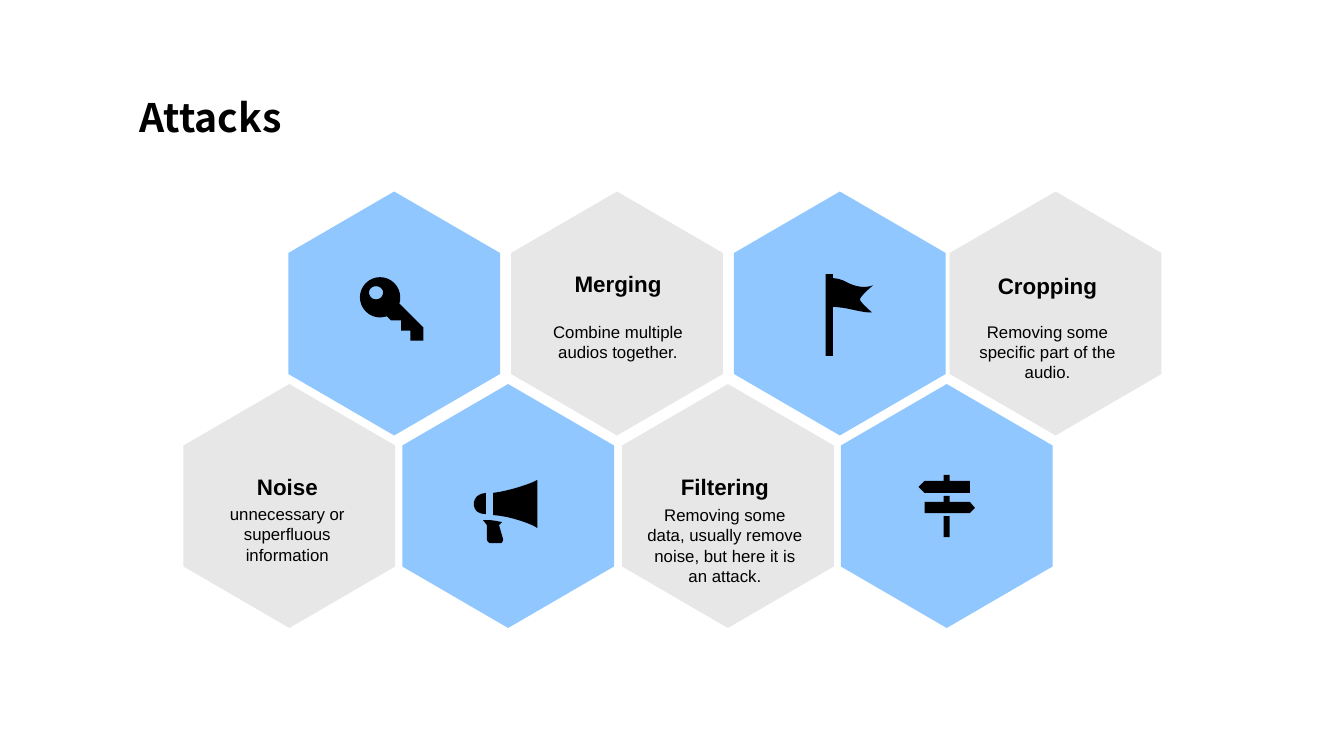
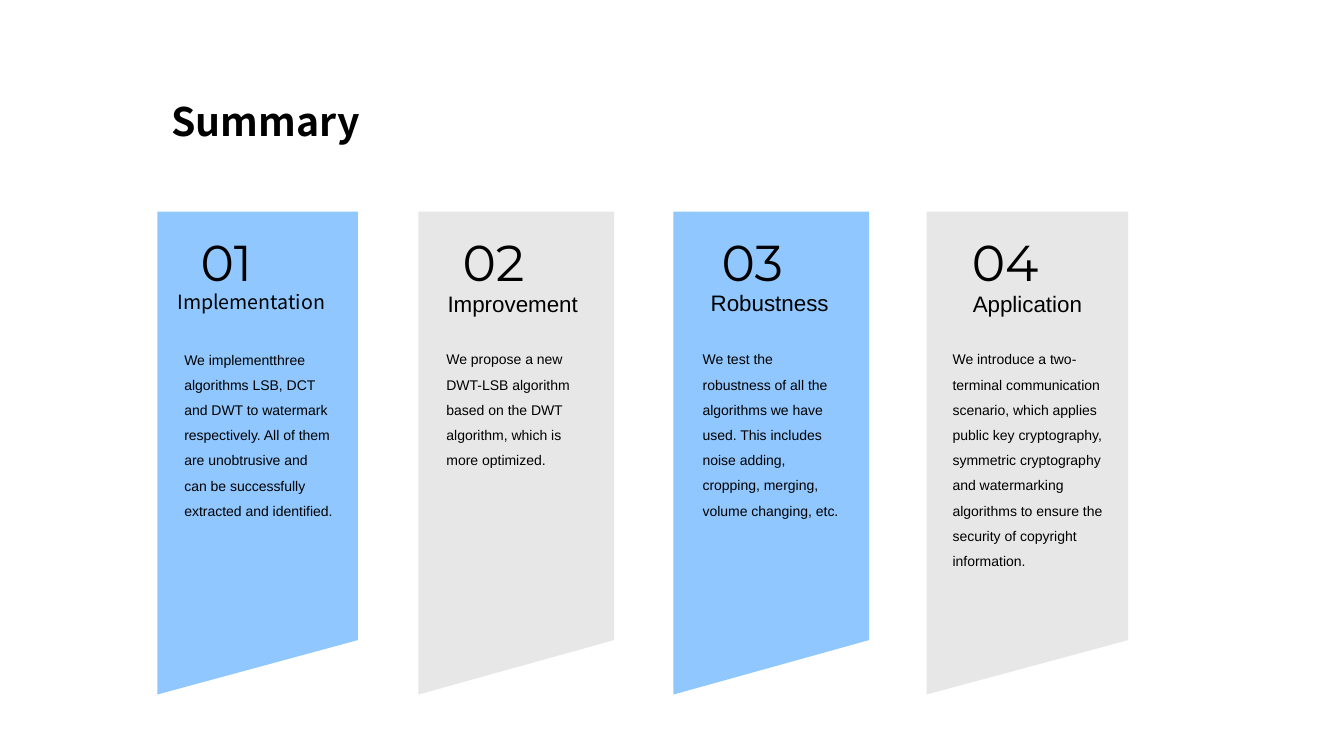
from pptx import Presentation
from pptx.dml.color import RGBColor
from pptx.enum import shapes as s
from pptx.enum import text as t
from pptx.util import Inches, Pt

BLUE, GREY, BLACK = "90C7FF", "E7E7E7", "000000"
TITLE_FONT, BODY_FONT, NUMBER_FONT = "Noto Sans CJK SC", "Arial", "Montserrat"

# Attacks: text centre x, heading top, detail top, heading, detail
ATTACKS = [
    (2.85, 4.69, 5.00, "Noise", "unnecessary or superfluous information"),
    (6.13, 2.68, 3.19, "Merging", "Combine multiple audios together."),
    (7.19, 4.69, 5.01, "Filtering",
     "Removing some data, usually remove noise, but here it is an attack."),
    (10.39, 2.70, 3.19, "Cropping", "Removing some specific part of the audio."),
]
HEX_W, HEX_H, HEX_SHOULDER = 2.1, 2.42, 0.61
HEX_ROWS = [
    (1.9, [2.86, 5.07, 7.28, 9.42]),
    (3.81, [1.82, 3.99, 6.17, 8.34]),
]

# Icons: each shape is a list of contours; pairs are corners, sixes are curves
KEY = [[
    [(3.96, 3.01), (3.97, 2.99, 3.97, 2.97, 3.97, 2.95),
     (3.97, 2.84, 3.88, 2.75, 3.77, 2.75), (3.66, 2.75, 3.57, 2.84, 3.57, 2.95),
     (3.57, 3.06, 3.66, 3.15, 3.77, 3.15), (3.79, 3.15, 3.82, 3.14, 3.84, 3.14),
     (3.88, 3.18), (3.98, 3.18), (3.98, 3.28), (4.07, 3.28), (4.07, 3.38),
     (4.2, 3.38), (4.2, 3.25)],
    [(3.73, 2.97), (3.69, 2.97, 3.66, 2.94, 3.66, 2.9),
     (3.66, 2.87, 3.69, 2.84, 3.73, 2.84), (3.77, 2.84, 3.8, 2.87, 3.8, 2.9),
     (3.8, 2.94, 3.77, 2.97, 3.73, 2.97)],
]]
FLAG = [
    [[(8.53, 2.97), (8.53, 2.94, 8.66, 2.83, 8.66, 2.83),
      (8.59, 2.86, 8.49, 2.85, 8.4, 2.8), (8.31, 2.75, 8.23, 2.76, 8.23, 2.76),
      (8.23, 3.05), (8.24, 3.05, 8.26, 3.04, 8.32, 3.05),
      (8.39, 3.05, 8.58, 3.11, 8.65, 3.1), (8.65, 3.1, 8.53, 3, 8.53, 2.97)]],
]
MEGAPHONE = [
    [[(4.79, 5.16), (4.83, 5.21), (4.83, 5.35), (4.83, 5.37, 4.85, 5.39, 4.87, 5.39),
      (4.96, 5.39), (4.98, 5.39, 4.99, 5.37, 4.99, 5.35), (4.95, 5.21),
      (4.98, 5.18), (4.93, 5.17, 4.88, 5.16, 4.84, 5.16)]],
    [[(4.89, 5.11), (5.07, 5.12, 5.3, 5.21, 5.33, 5.24), (5.33, 4.76),
      (5.29, 4.79, 5.06, 4.87, 4.89, 4.89)]],
    [[(4.82, 5.1), (4.82, 4.89), (4.72, 4.9, 4.7, 4.96, 4.7, 5),
      (4.7, 5.04, 4.72, 5.1, 4.82, 5.1)]],
]
SIGNPOST = [
    [[(9.36, 4.71), (9.42, 4.71), (9.42, 4.77), (9.62, 4.77), (9.62, 4.89),
      (9.17, 4.89), (9.11, 4.83), (9.17, 4.77), (9.36, 4.77)]],
    [[(9.36, 4.92), (9.42, 4.92), (9.42, 4.98), (9.62, 4.98), (9.67, 5.04),
      (9.62, 5.09), (9.17, 5.09), (9.17, 4.98), (9.36, 4.98)]],
]
POLES = [(8.19, 2.72, 0.07, 0.81), (9.36, 5.12, 0.06, 0.21)]

# Summary: panel left and width, then (left, top, width, height, text) for each part
PANELS = [
    (1.56, 1.99, (1.89, 2.24, 1.12, 0.71, "01"),
     (1.66, 2.83, 1.71, 0.34, "Implementation"),
     (1.73, 3.35, 1.67, 2.12, "We implementthree algorithms LSB, DCT and DWT to "
      "watermark respectively. All of them are unobtrusive and can be successfully "
      "extracted and identified.")),
    (4.15, 1.94, (4.49, 2.24, 1.18, 0.71, "02"),
     (4.34, 2.83, 1.55, 0.37, "Improvement"),
     (4.33, 3.35, 1.64, 1.36, "We propose a new DWT-LSB algorithm based on the DWT "
      "algorithm, which is more optimized.")),
    (6.68, 1.94, (7.06, 2.24, 1.18, 0.71, "03"),
     (6.95, 2.82, 1.59, 0.37, "Robustness"),
     (6.87, 3.35, 1.59, 1.87, "We test the robustness of all the algorithms we have "
      "used. This includes noise adding, cropping, merging, volume changing, etc.")),
    (9.19, 2.0, (9.54, 2.24, 1.12, 0.71, "04"),
     (9.55, 2.83, 1.3, 0.37, "Application"),
     (9.35, 3.35, 1.7, 2.37, "We introduce a two-terminal communication scenario, "
      "which applies public key cryptography, symmetric cryptography and watermarking "
      "algorithms to ensure the security of copyright information.")),
]
PANEL_TOP, PANEL_SHORT, PANEL_LONG = 2.1, 4.25, 4.79


def rgb(value):
    return RGBColor.from_string(value)


def paint(shape, colour):
    shape.shadow.inherit = False
    shape.fill.solid()
    shape.fill.fore_color.rgb = rgb(colour)
    shape.line.fill.background()


def write(box, words, size, font=BODY_FONT, bold=False, align=t.PP_ALIGN.LEFT,
          anchor=t.MSO_ANCHOR.TOP, spacing=None, inset=None):
    frame = box.text_frame
    frame.word_wrap = True
    frame.auto_size = t.MSO_AUTO_SIZE.NONE
    frame.vertical_anchor = anchor
    if inset is not None:
        frame.margin_left = frame.margin_right = Inches(inset)
        frame.margin_top = frame.margin_bottom = Inches(inset)
    paragraph = frame.paragraphs[0]
    paragraph.alignment = align
    paragraph.line_spacing = spacing
    run = paragraph.add_run()
    run.text = words
    run.font.name, run.font.size, run.font.bold = font, Pt(size), bold
    run.font.color.rgb = rgb(BLACK)


def add_text(slide, left, top, width, height, words, size, **style):
    box = slide.shapes.add_textbox(*map(Inches, (left, top, width, height)))
    write(box, words, size, **style)


def add_rectangle(slide, left, top, width, height, colour):
    rectangle = slide.shapes.add_shape(
        s.MSO_SHAPE.RECTANGLE, *map(Inches, (left, top, width, height)))
    paint(rectangle, colour)
    return rectangle


def add_titled_slide(deck, words, left, top, width):
    slide = deck.slides.add_slide(deck.slide_layouts[5])
    title = slide.shapes.title
    title.left, title.top = Inches(left), Inches(top)
    title.width, title.height = Inches(width), Inches(0.58)
    write(title, words, 28, font=TITLE_FONT, bold=True,
          anchor=t.MSO_ANCHOR.MIDDLE, spacing=1.1)
    return slide


def flatten(contour, steps=8):
    """Turn corners and cubic curves into a list of points."""
    points = [contour[0]]
    for part in contour[1:]:
        if len(part) == 2:
            points.append(part)
            continue
        x0, y0 = points[-1]
        x1, y1, x2, y2, x3, y3 = part
        for step in range(1, steps + 1):
            f = step / steps
            a, b, c, d = (1 - f) ** 3, 3 * f * (1 - f) ** 2, 3 * f * f * (1 - f), f ** 3
            points.append((a * x0 + b * x1 + c * x2 + d * x3,
                           a * y0 + b * y1 + c * y2 + d * y3))
    return [(Inches(x), Inches(y)) for x, y in points]


def add_outline(slide, contours, colour):
    first, *holes = map(flatten, contours)
    builder = slide.shapes.build_freeform(*first[0])
    builder.add_line_segments(first[1:], close=True)
    for hole in holes:
        builder.move_to(*hole[0])
        builder.add_line_segments(hole[1:], close=True)
    paint(builder.convert_to_shape(), colour)


def build_attacks(deck):
    slide = add_titled_slide(deck, "Attacks", 1.28, 0.85, 4.41)
    # Honeycomb, colours alternating along and between rows
    for row, (top, lefts) in enumerate(HEX_ROWS):
        upper, lower, bottom = top + HEX_SHOULDER, top + HEX_H - HEX_SHOULDER, top + HEX_H
        for column, left in enumerate(lefts):
            middle, right = left + HEX_W / 2, left + HEX_W
            hexagon = [(middle, top), (right, upper), (right, lower),
                       (middle, bottom), (left, lower), (left, upper)]
            add_outline(slide, [hexagon], (BLUE, GREY)[(row + column) % 2])
    # Icons
    for icon in (KEY, FLAG, MEGAPHONE, SIGNPOST):
        for contours in icon:
            add_outline(slide, contours, BLACK)
    for pole in POLES:
        add_rectangle(slide, *pole, BLACK)
    # Headings and details share a centre line
    centred = dict(align=t.PP_ALIGN.CENTER, inset=0)
    for centre, heading_top, detail_top, heading, detail in ATTACKS:
        add_text(slide, centre - 1.28, heading_top, 2.56, 0.27, heading, 16,
                 bold=True, **centred)
        add_text(slide, centre - 0.77, detail_top, 1.54, 0.81, detail, 12, **centred)


def build_summary(deck):
    slide = add_titled_slide(deck, "Summary", 1.6, 0.89, 3.3)
    for index, (left, width, number, heading, detail) in enumerate(PANELS):
        colour = (BLUE, GREY)[index % 2]
        right = left + width
        panel = [(right, PANEL_TOP + PANEL_SHORT), (left, PANEL_TOP + PANEL_LONG),
                 (left, PANEL_TOP), (right, PANEL_TOP)]
        add_outline(slide, [panel], colour)
        heading_style = (dict(size=14, font=TITLE_FONT) if index == 0
                         else dict(size=16))
        for (*place, words), style in (
                (number, dict(size=36, font=NUMBER_FONT)),
                (heading, heading_style),
                (detail, dict(size=10, spacing=Pt(18)))):
            write(add_rectangle(slide, *place, colour), words, **style)


def main():
    deck = Presentation()
    deck.slide_width, deck.slide_height = Inches(13.33), Inches(7.5)
    build_attacks(deck)
    build_summary(deck)
    deck.save("out.pptx")


if __name__ == "__main__":
    main()
